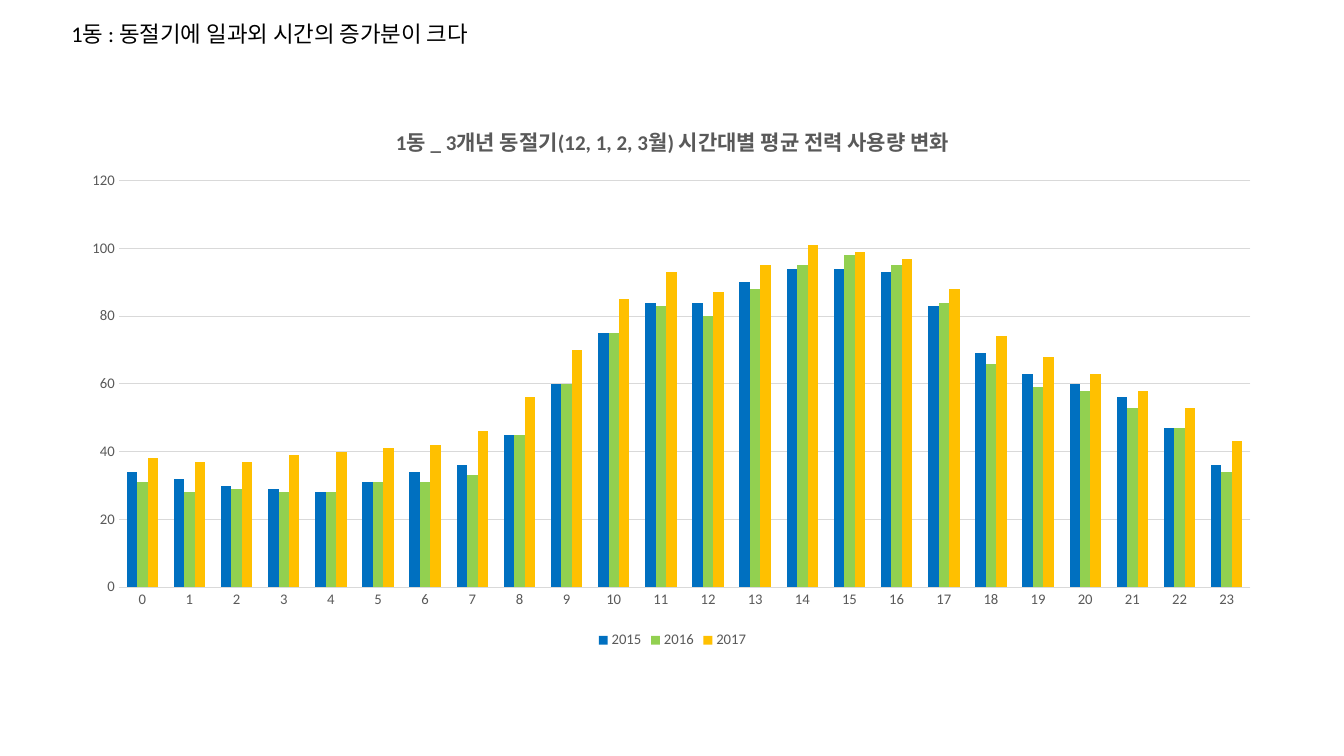
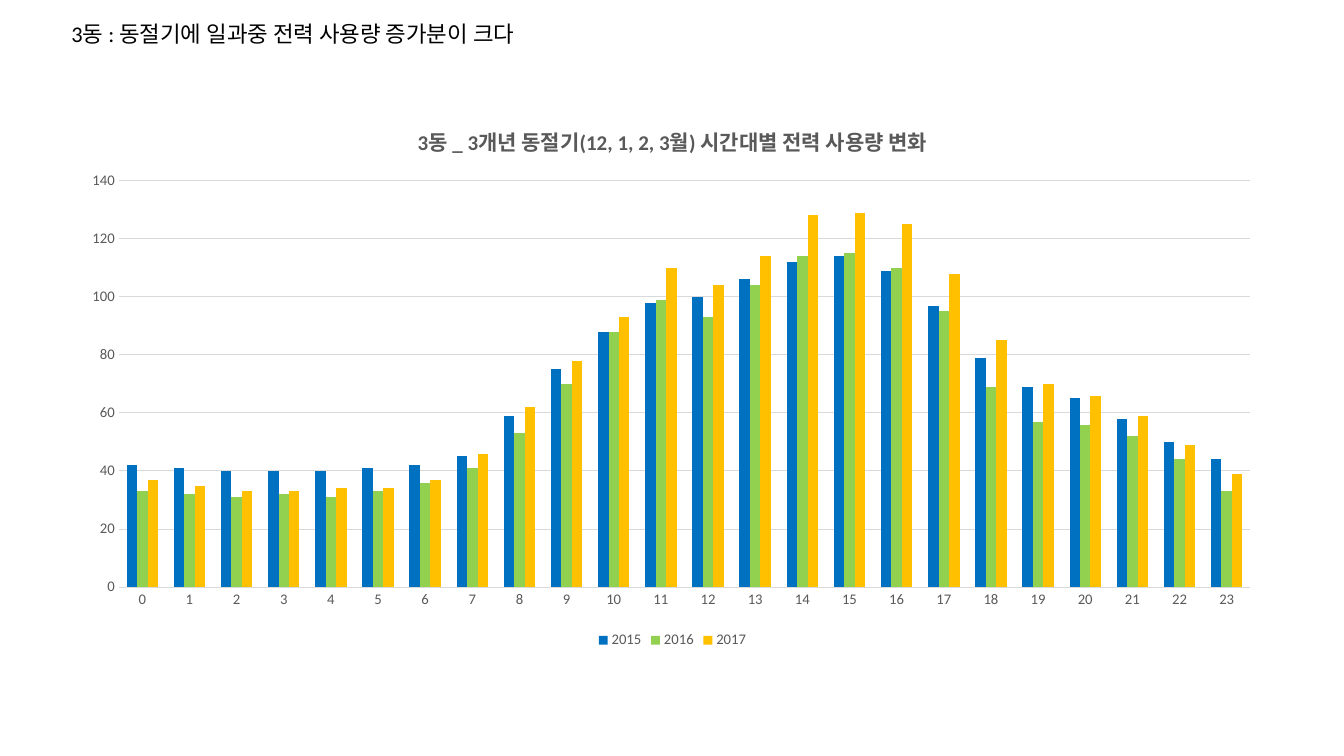
from dataclasses import dataclass

from lxml.etree import SubElement
from pptx import Presentation
from pptx.chart.data import CategoryChartData
from pptx.dml.color import RGBColor
from pptx.enum.chart import XL_CHART_TYPE, XL_LEGEND_POSITION, XL_TICK_MARK
from pptx.enum.text import MSO_AUTO_SIZE
from pptx.oxml.ns import qn
from pptx.util import Inches, Pt


@dataclass(frozen=True)
class Theme:
    face: str = "Calibri"
    ink: str = "000000"
    grey: str = "595959"
    rule: str = "D9D9D9"
    bars: tuple = ("0070C0", "92D050", "FFC000")
    head: float = 16
    title: float = 15
    label: float = 10.5
    hair: float = 0.75


THEME = Theme()
YEARS = ("2015", "2016", "2017")
HEAD_AT = (0.61, 0.15)
CHART_BOX = (0.7, 1.03, 11.94, 5.45)
PLOT = {"x": 0.04, "y": 0.14, "w": 0.94, "h": 0.74}

# One entry a building: heading, heading width, chart title, axis top, hourly use by year
SLIDES = (
    ("1동 : 동절기에 일과외 시간의 증가분이 크다", 4.5,
     "1동 _ 3개년 동절기(12, 1, 2, 3월) 시간대별 평균 전력 사용량 변화", 120, (
         (34, 32, 30, 29, 28, 31, 34, 36, 45, 60, 75, 84,
          84, 90, 94, 94, 93, 83, 69, 63, 60, 56, 47, 36),
         (31, 28, 29, 28, 28, 31, 31, 33, 45, 60, 75, 83,
          80, 88, 95, 98, 95, 84, 66, 59, 58, 53, 47, 34),
         (38, 37, 37, 39, 40, 41, 42, 46, 56, 70, 85, 93,
          87, 95, 101, 99, 97, 88, 74, 68, 63, 58, 53, 43))),
    ("3동 : 동절기에 일과중 전력 사용량 증가분이 크다", 4.99,
     "3동 _ 3개년 동절기(12, 1, 2, 3월) 시간대별 전력 사용량 변화", 140, (
         (42, 41, 40, 40, 40, 41, 42, 45, 59, 75, 88, 98,
          100, 106, 112, 114, 109, 97, 79, 69, 65, 58, 50, 44),
         (33, 32, 31, 32, 31, 33, 36, 41, 53, 70, 88, 99,
          93, 104, 114, 115, 110, 95, 69, 57, 56, 52, 44, 33),
         (37, 35, 33, 33, 34, 34, 37, 46, 62, 78, 93, 110,
          104, 114, 128, 129, 125, 108, 85, 70, 66, 59, 49, 39))),
)


def style(font, size, color, bold=False):
    font.name = THEME.face
    font.size = Pt(size)
    font.bold = bold
    font.color.rgb = RGBColor.from_string(color)


def write(frame, text, **look):
    run = frame.paragraphs[0].add_run()
    run.text = text
    style(run.font, **look)


def rule(line):
    line.color.rgb = RGBColor.from_string(THEME.rule)
    line.width = Pt(THEME.hair)


def add_head(slide, text, left, top, width):
    box = slide.shapes.add_textbox(
        Inches(left), Inches(top), Inches(width), Inches(0.37))
    frame = box.text_frame
    frame.word_wrap = False
    frame.auto_size = MSO_AUTO_SIZE.SHAPE_TO_FIT_TEXT
    write(frame, text, size=THEME.head, color=THEME.ink)


def fix_plot(chart):
    """Pin the inner plot area to fractions of the chart box."""
    area = chart.element.find(".//" + qn("c:plotArea"))
    for old in area.findall(qn("c:layout")):
        area.remove(old)
    layout = SubElement(area, qn("c:layout"))
    area.insert(0, layout)
    manual = SubElement(layout, qn("c:manualLayout"))
    parts = {"layoutTarget": "inner", "xMode": "edge", "yMode": "edge", **PLOT}
    for name, val in parts.items():
        SubElement(manual, qn("c:" + name)).set("val", str(val))


def add_bars(slide, title, top, rows, box):
    data = CategoryChartData()
    data.categories = [str(hour) for hour in range(24)]
    for year, row in zip(YEARS, rows):
        data.add_series(year, row)
    chart = slide.shapes.add_chart(
        XL_CHART_TYPE.COLUMN_CLUSTERED, *map(Inches, box), data).chart
    style(chart.font, THEME.label, THEME.grey)

    # Title and legend
    chart.has_title = True
    write(chart.chart_title.text_frame, title,
          size=THEME.title, color=THEME.grey, bold=True)
    chart.chart_title.include_in_layout = False
    chart.has_legend = True
    chart.legend.position = XL_LEGEND_POSITION.BOTTOM
    chart.legend.include_in_layout = False
    style(chart.legend.font, THEME.label, THEME.grey)

    # Axes
    hours, scale = chart.category_axis, chart.value_axis
    for axis in (hours, scale):
        axis.major_tick_mark = axis.minor_tick_mark = XL_TICK_MARK.NONE
        style(axis.tick_labels.font, THEME.label, THEME.grey)
    rule(hours.format.line)
    rule(scale.major_gridlines.format.line)
    scale.format.line.fill.background()
    scale.minimum_scale, scale.maximum_scale = 0, top
    scale.major_unit = 20

    # Bars
    plot = chart.plots[0]
    plot.gap_width, plot.overlap = 150, 0
    plot.vary_by_categories = False
    for bar, color in zip(plot.series, THEME.bars):
        bar.format.fill.solid()
        bar.format.fill.fore_color.rgb = RGBColor.from_string(color)
    fix_plot(chart)


def main():
    deck = Presentation()
    deck.slide_width, deck.slide_height = Inches(13.33), Inches(7.5)
    for head, width, title, top, rows in SLIDES:
        slide = deck.slides.add_slide(deck.slide_layouts[6])
        add_bars(slide, title, top, rows, CHART_BOX)
        add_head(slide, head, *HEAD_AT, width)
    deck.save("out.pptx")


if __name__ == "__main__":
    main()
